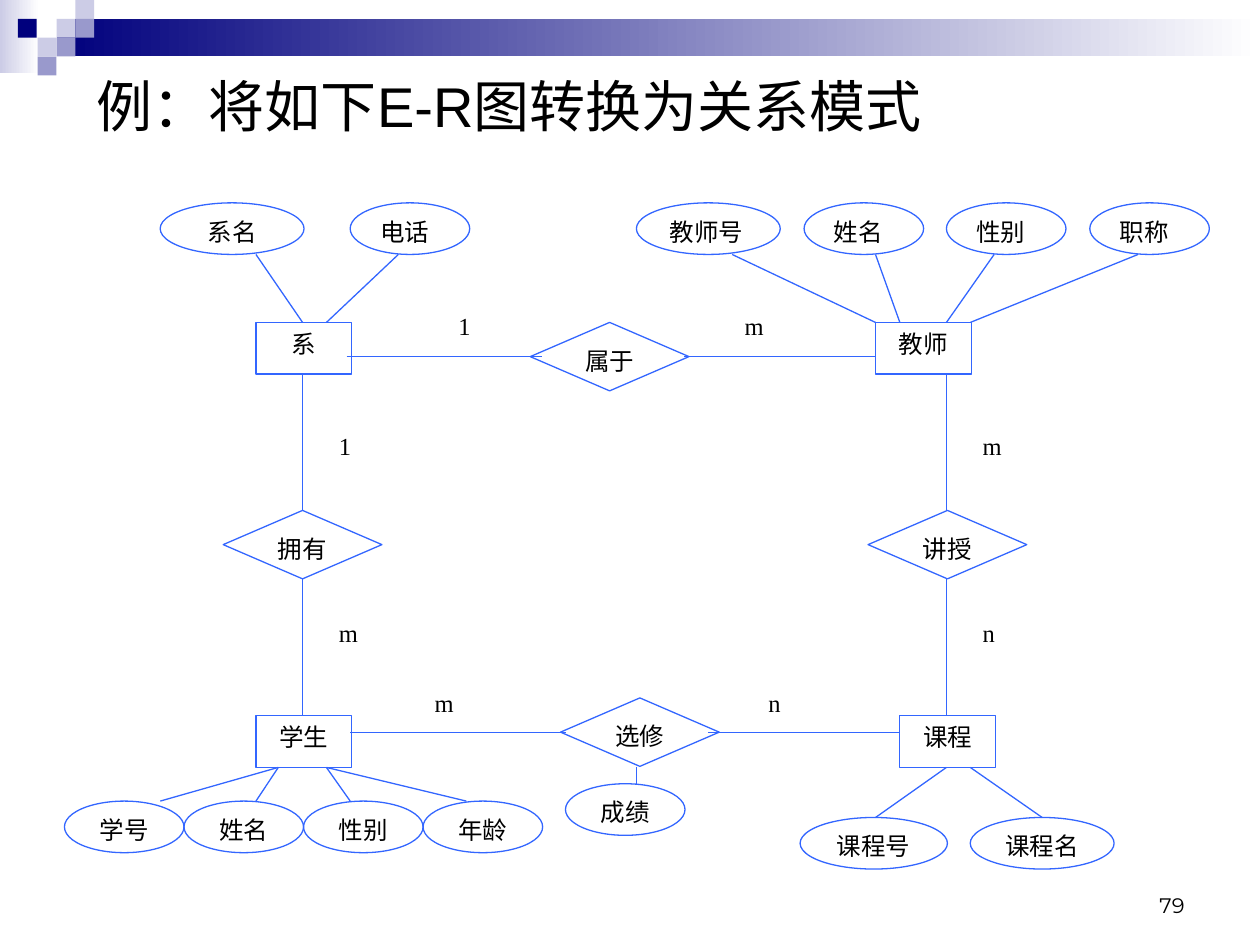
from lxml import etree
from pptx import Presentation
from pptx.dml.color import RGBColor
from pptx.enum.shapes import MSO_CONNECTOR, MSO_SHAPE
from pptx.enum.text import MSO_ANCHOR, PP_ALIGN
from pptx.oxml.ns import qn
from pptx.util import Cm, Pt

RECTANGLE, OVAL, DIAMOND = MSO_SHAPE.RECTANGLE, MSO_SHAPE.OVAL, MSO_SHAPE.DIAMOND
STRAIGHT = MSO_CONNECTOR.STRAIGHT
LEFT, CENTER = PP_ALIGN.LEFT, PP_ALIGN.CENTER
RIGHT, JUSTIFY = PP_ALIGN.RIGHT, PP_ALIGN.JUSTIFY
TOP, MIDDLE, BOTTOM = MSO_ANCHOR.TOP, MSO_ANCHOR.MIDDLE, MSO_ANCHOR.BOTTOM

BLACK = RGBColor(0x00, 0x00, 0x00)
WHITE = RGBColor(0xFF, 0xFF, 0xFF)
BLUE = RGBColor(0x33, 0x66, 0xFF)
NAVY = RGBColor(0x00, 0x00, 0x7D)
LAVENDER = RGBColor(0xCC, 0xCC, 0xE6)
VIOLET = RGBColor(0x99, 0x99, 0xCC)

# All lengths are centimetres.
TILE = 0.38
TILES = [
    (1.14, 0.38, LAVENDER), (1.52, 0, LAVENDER), (1.52, 0.38, VIOLET),
    (0.76, 0.76, LAVENDER), (0.36, 0.38, NAVY), (1.14, 0.76, VIOLET),
    (0.76, 1.14, VIOLET),
]

ENTITY_SIZE = (1.93, 1.04)
ENTITIES = [
    ("系", 5.16, 6.5), ("教师", 17.65, 6.5),
    ("学生", 5.16, 14.43), ("课程", 18.14, 14.43),
]
RELATION_SIZE = (3.2, 1.38)
RELATIONS = [
    ("属于", 10.69, 6.5), ("拥有", 4.5, 10.29),
    ("讲授", 17.5, 10.29), ("选修", 11.3, 14.07),
]

ATTRIBUTE_HEIGHT = 1.04
ATTRIBUTES = [
    ("系名", 3.23, 4.09, 2.9, CENTER),
    ("电话", 7.06, 4.09, 2.41, JUSTIFY),
    ("教师号", 12.83, 4.09, 2.9, JUSTIFY),
    ("姓名", 16.21, 4.09, 2.41, JUSTIFY),
    ("性别", 19.08, 4.09, 2.41, JUSTIFY),
    ("职称", 21.97, 4.09, 2.41, JUSTIFY),
    ("成绩", 11.4, 15.8, 2.41, CENTER),
    ("课程号", 16.13, 16.48, 2.97, CENTER),
    ("课程名", 19.56, 16.48, 2.9, CENTER),
]
STUDENT_ATTRIBUTES = ["学号", "姓名", "性别", "年龄"]

CARDINALITIES = [
    ("1", 8.99, 6.15), ("m", 14.76, 6.15),
    ("1", 6.58, 8.56), ("m", 6.58, 12.34),
    ("m", 19.56, 8.56), ("n", 19.56, 12.34),
    ("m", 8.51, 13.74), ("n", 15.24, 13.74),
]

RELATION_LINES = [
    (6.99, 7.19, 10.92, 7.19), (13.79, 7.19, 17.65, 7.19),
    (7.06, 14.76, 11.4, 14.76), (14.27, 14.76, 18.14, 14.76),
    (6.1, 10.29, 6.1, 7.53), (6.1, 14.43, 6.1, 11.66),
    (19.08, 10.29, 19.08, 7.53), (19.08, 14.43, 19.08, 11.66),
]
ATTRIBUTE_LINES = [
    (5.16, 5.13, 6.1, 6.5), (6.58, 6.5, 8.03, 5.13),
    (14.76, 5.13, 17.65, 6.5), (17.65, 5.13, 18.14, 6.5),
    (20.04, 5.13, 19.08, 6.5), (22.94, 5.13, 19.56, 6.5),
    (5.61, 15.47, 3.23, 16.15), (5.61, 15.47, 5.16, 16.15),
    (6.58, 15.47, 7.06, 16.15), (6.58, 15.47, 9.4, 16.15),
    (12.83, 15.47, 12.83, 15.8),
    (19.08, 15.47, 17.65, 16.48), (19.56, 15.47, 21.01, 16.48),
]


class Diagram:
    """Draws on one slide in one style; lengths are in centimetres."""

    font, size = "Times New Roman", 14
    line_color, line_width = BLUE, Pt(0.75)

    def __init__(self, slide):
        self.slide = slide

    def set_text(self, shape, text, align, anchor=TOP, font=None, size=None):
        frame = shape.text_frame
        frame.word_wrap = True
        frame.vertical_anchor = anchor
        frame.text = text
        paragraph = frame.paragraphs[0]
        paragraph.alignment = align
        paragraph.font.name = font or self.font
        paragraph.font.size = Pt(size or self.size)
        paragraph.font.color.rgb = BLACK

    def shape(self, kind, left, top, width, height):
        shape = self.slide.shapes.add_shape(
            kind, Cm(left), Cm(top), Cm(width), Cm(height))
        shape.shadow.inherit = False
        return shape

    def block(self, left, top, width, height, color, fade_to=None):
        """Borderless rectangle, solid or fading from left to right."""
        shape = self.shape(RECTANGLE, left, top, width, height)
        shape.line.fill.background()
        if fade_to is None:
            shape.fill.solid()
            shape.fill.fore_color.rgb = color
            return
        shape.fill.gradient()
        shape.fill.gradient_angle = 0
        for stop, stop_color, position in zip(
                shape.fill.gradient_stops, (color, fade_to), (0, 1)):
            stop.color.rgb = stop_color
            stop.position = position

    def node(self, kind, text, left, top, width, height, align=CENTER):
        shape = self.shape(kind, left, top, width, height)
        shape.fill.background()
        shape.line.color.rgb = self.line_color
        shape.line.width = self.line_width
        self.set_text(shape, text, align)

    def label(self, text, left, top, width, height, align, **style):
        box = self.slide.shapes.add_textbox(
            Cm(left), Cm(top), Cm(width), Cm(height))
        self.set_text(box, text, align, **style)

    def line(self, *ends):
        connector = self.slide.shapes.add_connector(
            STRAIGHT, *(Cm(value) for value in ends))
        connector.line.color.rgb = self.line_color
        connector.line.width = self.line_width
        etree.SubElement(connector._element.spPr, qn("a:effectLst"))


def main():
    presentation = Presentation()
    presentation.slide_width, presentation.slide_height = Cm(25.4), Cm(19.05)
    slide = presentation.slides.add_slide(presentation.slide_layouts[6])
    diagram = Diagram(slide)

    diagram.block(0, 0, 0.79, 1.47, LAVENDER, fade_to=WHITE)
    diagram.block(1.14, 0.38, 24.26, 0.76, NAVY, fade_to=WHITE)
    for left, top, color in TILES:
        diagram.block(left, top, TILE, TILE, color)

    diagram.label("例：将如下E-R图转换为关系模式", 1.7, 1.32, 21.59, 1.6, LEFT,
                  anchor=MIDDLE, font="Arial", size=32)
    diagram.label("79", 18.21, 17.35, 5.92, 1.27, RIGHT,
                  anchor=BOTTOM, font="Montserrat", size=12)

    for ends in RELATION_LINES + ATTRIBUTE_LINES:
        diagram.line(*ends)
    for text, left, top in ENTITIES:
        diagram.node(RECTANGLE, text, left, top, *ENTITY_SIZE)
    for text, left, top in RELATIONS:
        diagram.node(DIAMOND, text, left, top, *RELATION_SIZE)
    for text, left, top, width, align in ATTRIBUTES:
        diagram.node(OVAL, text, left, top, width, ATTRIBUTE_HEIGHT, align)
    for index, text in enumerate(STUDENT_ATTRIBUTES):
        diagram.node(OVAL, text, 1.3 + 2.41 * index, 16.15,
                     2.41, ATTRIBUTE_HEIGHT)
    for text, left, top in CARDINALITIES:
        diagram.label(text, left, top, 1.45, 1.04, JUSTIFY)

    presentation.save("out.pptx")


if __name__ == "__main__":
    main()
